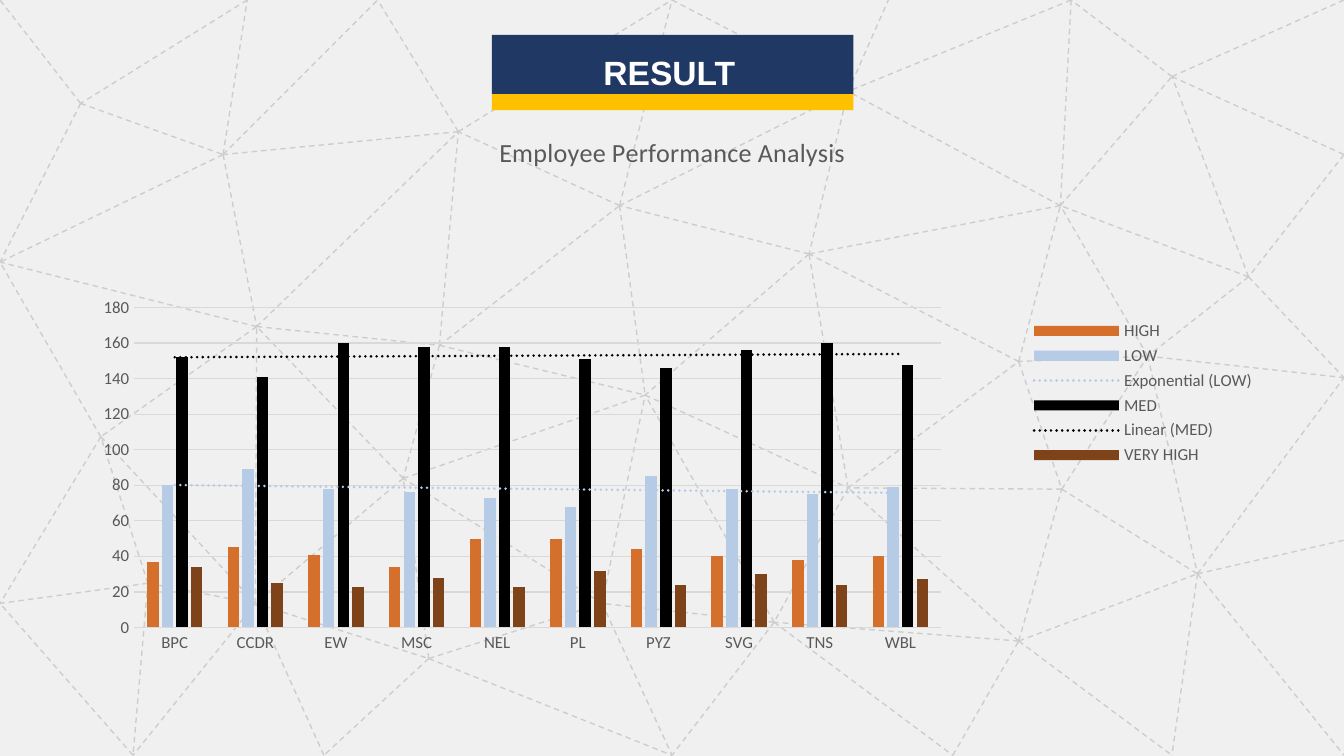
from lxml.etree import SubElement
from pptx import Presentation
from pptx.chart.data import CategoryChartData
from pptx.dml.color import RGBColor
from pptx.enum.chart import XL_CHART_TYPE as ChartType, XL_LEGEND_POSITION as LegendPosition
from pptx.enum.chart import XL_TICK_MARK as TickMark
from pptx.enum.dml import MSO_LINE as Dash
from pptx.enum.shapes import MSO_CONNECTOR as Connector, MSO_SHAPE as Shape
from pptx.enum.text import MSO_AUTO_SIZE as AutoSize, PP_ALIGN as Align
from pptx.oxml import parse_xml
from pptx.oxml.ns import nsdecls, qn
from pptx.util import Inches, Pt

SLIDE_WIDTH = 10
SLIDE_HEIGHT = SLIDE_WIDTH * 9 / 16

PAPER = RGBColor(0xF0, 0xF0, 0xF0)
MESH = RGBColor(0xCD, 0xCD, 0xCD)
NAVY = RGBColor(0x20, 0x38, 0x64)
GOLD = RGBColor(0xFF, 0xC0, 0x00)
WHITE = RGBColor(0xFF, 0xFF, 0xFF)
BLACK = RGBColor(0x00, 0x00, 0x00)
GRAY = RGBColor(0x59, 0x59, 0x59)
GRID = RGBColor(0xD9, 0xD9, 0xD9)
ORANGE = RGBColor(0xD4, 0x70, 0x2B)
SKY = RGBColor(0xB6, 0xCB, 0xE6)
BROWN = RGBColor(0x7F, 0x43, 0x1A)

NODES = {
    "a": (0, 0), "b": (1.84, 0), "c": (2.81, 0), "d": (5, 0), "e": (6.61, 0),
    "f": (7.97, 0), "g": (10, 0), "h": (0.6, 0.77), "i": (1.66, 1.15),
    "j": (3.41, 0.98), "k": (6.31, 0.68), "l": (8.72, 0.57), "m": (10, 1.15),
    "n": (0, 1.95), "o": (1.91, 2.43), "p": (4.61, 1.53), "q": (6.02, 1.89),
    "r": (7.89, 1.53), "s": (9.29, 2.06), "t": (0.75, 3.25), "u": (3.27, 2.57),
    "v": (4.8, 2.94), "w": (7.58, 2.69), "x": (8.54, 2.65), "y": (10, 2.81),
    "z": (0, 4.49), "A": (1.1, 4.34), "B": (1.9, 4.49), "C": (3, 3.56),
    "D": (4.48, 4.49), "E": (6.31, 3.63), "F": (7.9, 3.64), "G": (10, 4.02),
    "H": (3.19, 4.9), "I": (5.76, 4.63), "J": (7.58, 4.77), "K": (8.91, 4.27),
    "L": (0.99, 5.62), "M": (2.41, 5.62), "N": (5, 5.62), "O": (7.09, 5.62),
    "P": (8.72, 5.62), "Q": (10, 5.62),
}
EDGES = (
    "ib in ic ji io oj on ou uC Co CB Bo ot tB tn tz Az BL Lz BH HC HM MB HD HN "
    "DN DC Dv vC uv uj up pv pj jc jd pd dk kp kq qp qv vE Eq EI ID IN ke rk rq "
    "Ew wr wF FE JE IO OJ JI JF JP xr rl lf lg lm ms sl sr sx sy FK Ky KQ KP wq "
    "Fx xy xw xK fr Iv At AB AL JK KG bh hi hn ha fk"
).split()

TEAMS = ["BPC", "CCDR", "EW", "MSC", "NEL", "PL", "PYZ", "SVG", "TNS", "WBL"]
RATINGS = [
    ("HIGH", ORANGE, None, [37, 45, 41, 34, 50, 50, 44, 40, 38, 40]),
    ("LOW", SKY, "exp", [80, 89, 78, 76, 73, 68, 85, 78, 75, 79]),
    ("MED", BLACK, "linear", [152, 141, 160, 158, 158, 151, 146, 156, 160, 148]),
    ("VERY HIGH", BROWN, None, [34, 25, 23, 28, 23, 32, 24, 30, 24, 27]),
]


def add_block(slide, left, top, width, height, color):
    block = slide.shapes.add_shape(
        Shape.RECTANGLE, Inches(left), Inches(top), Inches(width), Inches(height))
    block.shadow.inherit = False
    block.fill.solid()
    block.fill.fore_color.rgb = color
    block.line.fill.background()


def add_mesh(slide, left, top, width, height):
    add_block(slide, left, top, width, height, PAPER)
    for start, end in EDGES:
        (x1, y1), (x2, y2) = NODES[start], NODES[end]
        strand = slide.shapes.add_connector(
            Connector.STRAIGHT, Inches(left + x1), Inches(top + y1),
            Inches(left + x2), Inches(top + y2))
        strand.line.color.rgb = MESH
        strand.line.width = Pt(0.75)
        strand.line.dash_style = Dash.DASH
        SubElement(strand._element.spPr, qn("a:effectLst"))


def style_font(font, size, color, name="Calibri", bold=False):
    font.size = Pt(size)
    font.color.rgb = color
    font.name = name
    font.bold = bold


def set_layout(parent, before, frame, x, y, width=None, height=None, target=""):
    for old in parent.findall(qn("c:layout")):
        parent.remove(old)
    across, down = frame
    sizes = f'<c:w val="{width / across}"/><c:h val="{height / down}"/>' if width else ""
    layout = parse_xml(
        f'<c:layout {nsdecls("c")}><c:manualLayout>{target}'
        '<c:xMode val="edge"/><c:yMode val="edge"/>'
        f'<c:x val="{x / across}"/><c:y val="{y / down}"/>{sizes}'
        '</c:manualLayout></c:layout>')
    parent.find(qn(before)).addprevious(layout)


def add_trend(series, kind, color):
    trend = parse_xml(
        f'<c:trendline {nsdecls("c", "a")}><c:spPr><a:ln w="{Pt(1.5)}" cap="rnd">'
        f'<a:solidFill><a:srgbClr val="{color}"/></a:solidFill>'
        '<a:prstDash val="sysDot"/></a:ln></c:spPr>'
        f'<c:trendlineType val="{kind}"/><c:dispRSqr val="0"/><c:dispEq val="0"/>'
        '</c:trendline>')
    series._element.find(qn("c:cat")).addprevious(trend)


def add_performance_chart(slide, left, top, width, height):
    ratings = CategoryChartData()
    ratings.categories = TEAMS
    for name, _, _, counts in RATINGS:
        ratings.add_series(name, counts)
    chart = slide.shapes.add_chart(
        ChartType.COLUMN_CLUSTERED, Inches(left), Inches(top),
        Inches(width), Inches(height), ratings).chart
    style_font(chart.font, 10, BLACK)

    columns = chart.plots[0]
    columns.vary_by_categories = False
    columns.gap_width = 219
    columns.overlap = -27
    for series, (_, color, trend, _) in zip(columns.series, RATINGS):
        series.format.fill.solid()
        series.format.fill.fore_color.rgb = color
        if trend:
            add_trend(series, trend, color)

    for axis in (chart.category_axis, chart.value_axis):
        axis.major_tick_mark = axis.minor_tick_mark = TickMark.NONE
        style_font(axis.tick_labels.font, 9, GRAY)
    value_axis = chart.value_axis
    value_axis.minimum_scale, value_axis.maximum_scale = 0, 180
    value_axis.major_unit = 20
    value_axis.format.line.fill.background()
    for rule in (chart.category_axis.format.line, value_axis.major_gridlines.format.line):
        rule.color.rgb = GRID
        rule.width = Pt(0.75)

    chart.has_title = True
    heading = chart.chart_title.text_frame.paragraphs[0]
    heading.text = "Employee Performance Analysis"
    style_font(heading.runs[0].font, 14, GRAY)
    chart.chart_title.include_in_layout = False

    chart.has_legend = True
    chart.legend.position = LegendPosition.RIGHT
    chart.legend.include_in_layout = False
    style_font(chart.legend.font, 9, GRAY)

    frame = (width, height)
    set_layout(chart.chart_title._element, "c:overlay", frame, 3.12, 0.14)
    set_layout(chart.legend._element, "c:overlay", frame, 7.1, 1.53, 1.69, 1.15)
    set_layout(columns._element.getparent(), "c:barChart", frame, 0.44, 1.47, 6, 2.38,
               '<c:layoutTarget val="inner"/>')


def add_banner(slide, left, top, width, height):
    stripe = 0.12
    add_block(slide, left, top + height - stripe, width, stripe, GOLD)
    add_block(slide, left, top, width, height - stripe, NAVY)
    label = slide.shapes.add_textbox(
        Inches(left + 0.16), Inches(top + 0.08), Inches(2.39), Inches(0.43)).text_frame
    label.word_wrap = True
    label.auto_size = AutoSize.SHAPE_TO_FIT_TEXT
    title = label.paragraphs[0]
    title.text = "RESULT "
    title.alignment = Align.CENTER
    style_font(title.runs[0].font, 18, WHITE, "Arial", True)


def main():
    deck = Presentation()
    deck.slide_width, deck.slide_height = Inches(SLIDE_WIDTH), Inches(SLIDE_HEIGHT)
    slide = deck.slides.add_slide(deck.slide_layouts[6])
    add_mesh(slide, 0, 0, SLIDE_WIDTH, SLIDE_HEIGHT)
    add_performance_chart(slide, 0.56, 0.82, 8.88, 4.2)
    add_banner(slide, 3.66, 0.26, 2.69, 0.56)
    deck.save("out.pptx")


if __name__ == "__main__":
    main()
